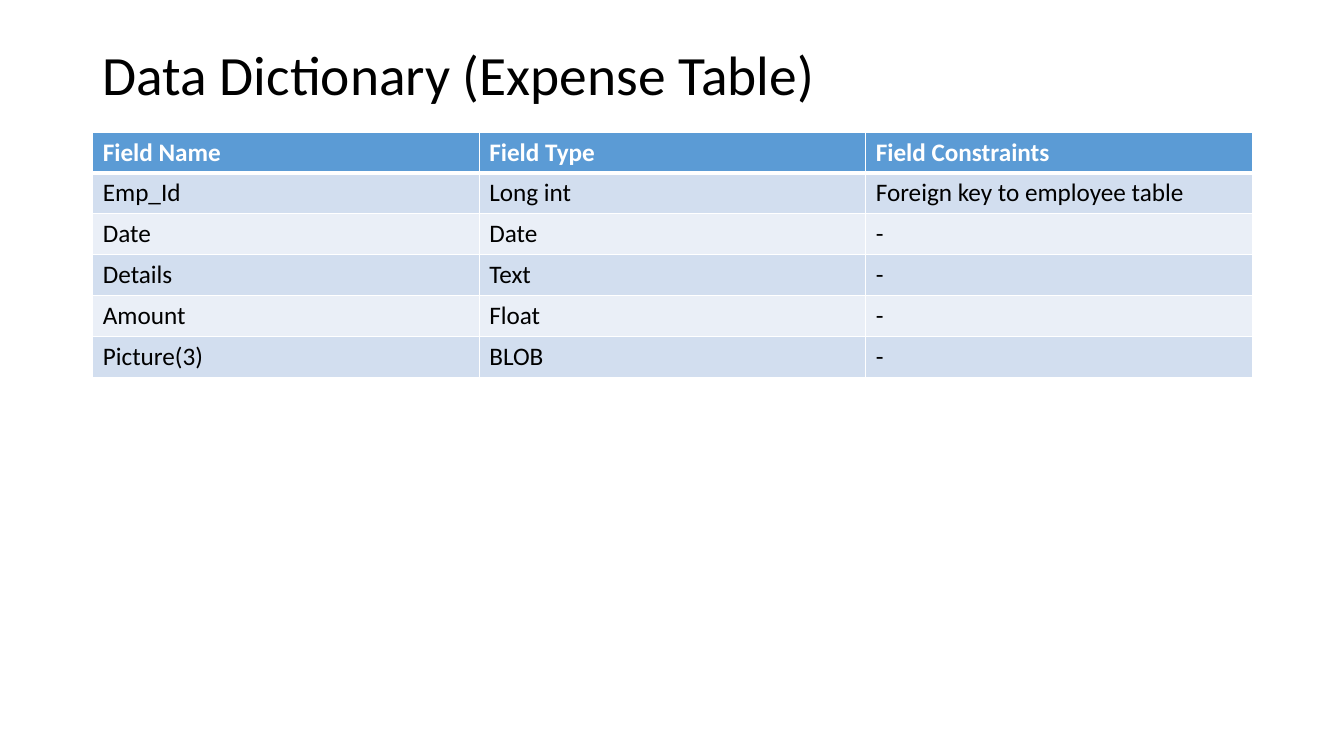
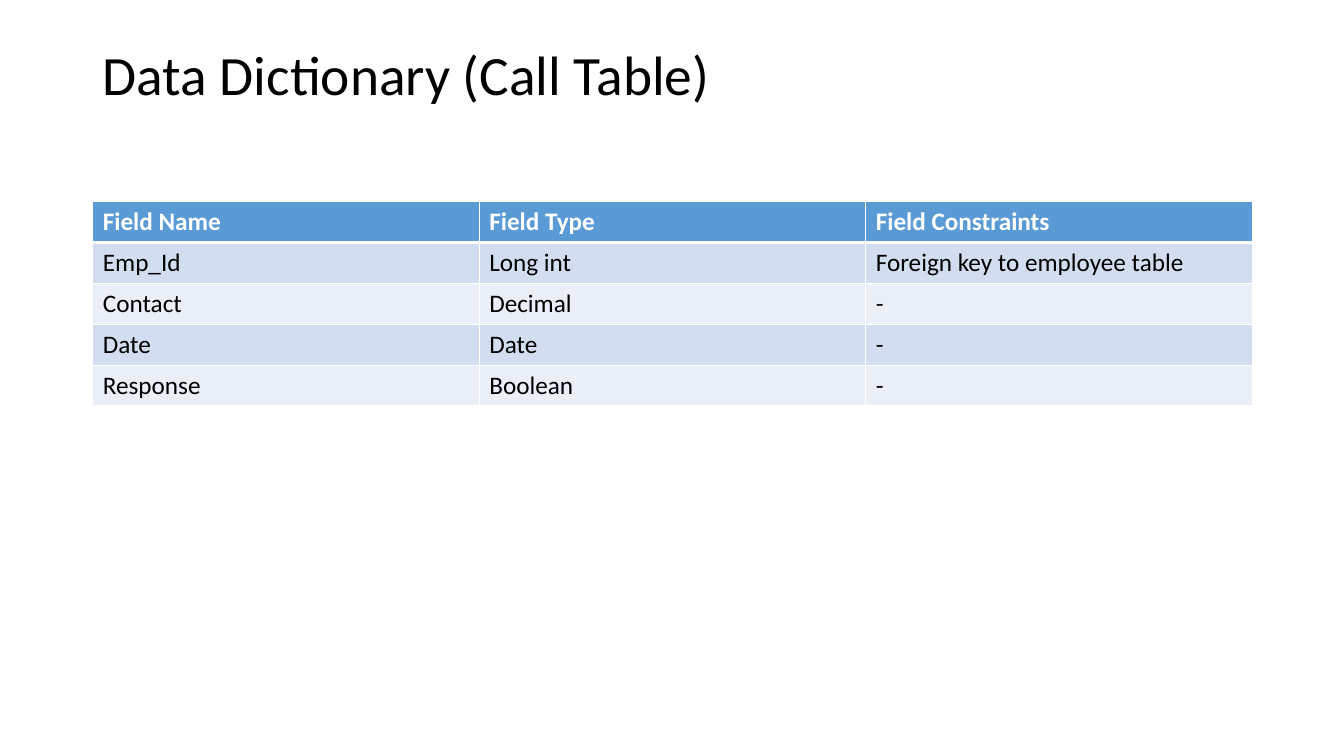
"""Builds the data dictionary slides for the expense and call tables."""
import pptx
import pptx.dml.color
import pptx.enum.text
import pptx.oxml
import pptx.oxml.ns
import pptx.util

Inches = pptx.util.Inches
Pt = pptx.util.Pt

HEADER = ("Field Name", "Field Type", "Field Constraints")
EMPLOYEE_KEY = ("Emp_Id", "Long int", "Foreign key to employee table")
DICTIONARIES = [
    {
        "title": "Data Dictionary (Expense Table)",
        "top": 1.31,
        "fields": [
            EMPLOYEE_KEY,
            ("Date", "Date", "-"),
            ("Details", "Text", "-"),
            ("Amount", "Float", "-"),
            ("Picture(3)", "BLOB", "-"),
        ],
    },
    {
        "title": "Data Dictionary (Call Table)",
        "top": 2,
        "fields": [
            EMPLOYEE_KEY,
            ("Contact ", "Decimal", "-"),
            ("Date", "Date", "-"),
            ("Response", "Boolean", "-"),
        ],
    },
]

FONT = "Calibri"
BLACK, WHITE = "000000", "FFFFFF"
HEADER_FILL = "5B9BD5"
BAND_FILLS = ("D2DEEF", "EAEFF7")
LEFT, WIDTH = Inches(0.92), Inches(11.5)
TITLE_TOP, TITLE_HEIGHT = Inches(0.4), Inches(0.74)
ROW_HEIGHT = Pt(29.2)
THIN, THICK = 1, 3


def color(value):
    return pptx.dml.color.RGBColor.from_string(value)


def add_span(para, text, size, shade, bold=False):
    span = para.add_run()
    span.text = text
    span.font.name = FONT
    span.font.size = Pt(size)
    span.font.bold = bold
    span.font.color.rgb = color(shade)


def add_title(page, text):
    box = page.shapes.add_textbox(LEFT, TITLE_TOP, WIDTH, TITLE_HEIGHT)
    frame = box.text_frame
    frame.word_wrap = True
    frame.vertical_anchor = pptx.enum.text.MSO_ANCHOR.MIDDLE
    para = frame.paragraphs[0]
    para.line_spacing = 0.9
    add_span(para, text, 39.6, BLACK)


def add_borders(cell, top, bottom):
    properties = cell._tc.get_or_add_tcPr()
    namespace = pptx.oxml.ns.nsdecls("a")
    for side, points in (("L", THIN), ("R", THIN), ("T", top), ("B", bottom)):
        properties.append(pptx.oxml.parse_xml(
            f'<a:ln{side} {namespace} w="{Pt(points)}"><a:solidFill>'
            f'<a:srgbClr val="{WHITE}"/></a:solidFill></a:ln{side}>'))


def add_dictionary(page, top, fields):
    rows = [HEADER, *fields]
    table = page.shapes.add_table(len(rows), len(HEADER), LEFT, Inches(top),
                                  WIDTH, ROW_HEIGHT * len(rows)).table
    for row_index, row in enumerate(rows):
        table.rows[row_index].height = ROW_HEIGHT
        is_header = row_index == 0
        fill = HEADER_FILL if is_header else BAND_FILLS[(row_index - 1) % 2]
        for column_index, text in enumerate(row):
            cell = table.cell(row_index, column_index)
            add_borders(cell, THICK if row_index == 1 else THIN,
                        THICK if is_header else THIN)
            cell.fill.solid()
            cell.fill.fore_color.rgb = color(fill)
            add_span(cell.text_frame.paragraphs[0], text, 18,
                     WHITE if is_header else BLACK, is_header)


deck = pptx.Presentation()
deck.slide_width, deck.slide_height = Inches(13.33), Inches(7.5)
for dictionary in DICTIONARIES:
    page = deck.slides.add_slide(deck.slide_layouts[6])
    add_title(page, dictionary["title"])
    add_dictionary(page, dictionary["top"], dictionary["fields"])
deck.save("out.pptx")
